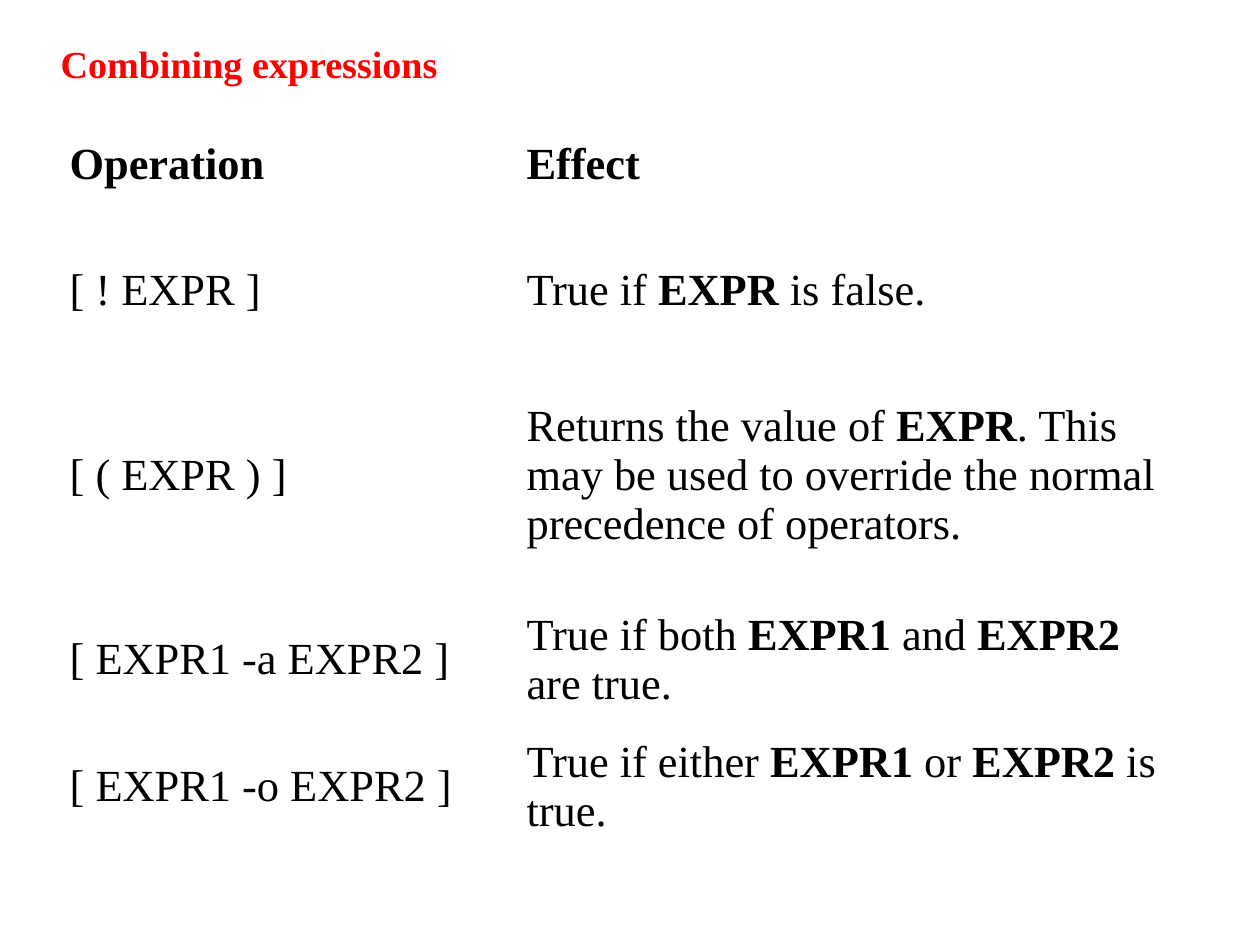
import pptx
import pptx.dml.color
import pptx.enum.text
import pptx.util
from dataclasses import dataclass

PX = 9144  # EMU per px, 100 px to the inch


@dataclass(frozen=True)
class Theme:
    font: str = "Times New Roman"
    title_color: str = "FF0000"
    text_color: str = "000000"
    title_size: int = 24
    text_size: int = 28


THEME = Theme()

# Asterisks enclose bold words
OPERATIONS = [
    ("*Operation*", "*Effect*"),
    ("[ ! EXPR ]", "True if *EXPR* is false."),
    ("[ ( EXPR ) ]", "Returns the value of *EXPR*. This may be used to override "
                     "the normal precedence of operators."),
    ("[ EXPR1 -a EXPR2 ]", "True if both *EXPR1* and *EXPR2* are true."),
    ("[ EXPR1 -o EXPR2 ]", "True if either *EXPR1* or *EXPR2* is true."),
]
COLUMN_WIDTHS = (400, 567)
ROW_HEIGHTS = (111, 111, 212, 111, 111)


def px(length):
    return pptx.util.Emu(length * PX)


def write_text(para, text, *, size, color):
    """Fill a paragraph, with the parts between asterisks in bold."""
    para.alignment = pptx.enum.text.PP_ALIGN.LEFT
    for index, part in enumerate(text.split("*")):
        if part:
            span = para.add_run()
            span.text = part
            span.font.name = THEME.font
            span.font.size = pptx.util.Pt(size)
            span.font.bold = index % 2 == 1
            span.font.color.rgb = pptx.dml.color.RGBColor.from_string(color)


def place_title(page, text, left, top, width, height):
    title = page.shapes.title
    title.left, title.top, title.width, title.height = map(px, (left, top, width, height))
    frame = title.text_frame
    frame.word_wrap = True
    frame.auto_size = pptx.enum.text.MSO_AUTO_SIZE.NONE
    frame.vertical_anchor = pptx.enum.text.MSO_ANCHOR.TOP
    write_text(frame.paragraphs[0], f"*{text}*",
               size=THEME.title_size, color=THEME.title_color)


def place_operations(page, left, top):
    box = page.shapes.add_table(
        len(OPERATIONS), len(COLUMN_WIDTHS), px(left), px(top),
        px(sum(COLUMN_WIDTHS)), px(sum(ROW_HEIGHTS)))
    table = box.table
    table.first_row = table.horz_banding = False
    for column, width in zip(table.columns, COLUMN_WIDTHS):
        column.width = px(width)
    for row, height, texts in zip(table.rows, ROW_HEIGHTS, OPERATIONS):
        row.height = px(height)
        for cell, text in zip(row.cells, texts):
            cell.fill.background()
            cell.vertical_anchor = pptx.enum.text.MSO_ANCHOR.MIDDLE
            cell.margin_left = cell.margin_right = px(1)
            cell.margin_top = cell.margin_bottom = px(1)
            write_text(cell.text_frame.paragraphs[0], text,
                       size=THEME.text_size, color=THEME.text_color)


def main():
    deck = pptx.Presentation()
    deck.slide_width, deck.slide_height = px(1103), px(826)
    page = deck.slides.add_slide(deck.slide_layouts.get_by_name("Title Only"))

    # Heading
    place_title(page, "Combining expressions", 43, 30, 638, 51)

    # Table of operations
    place_operations(page, 60, 88)

    deck.save("out.pptx")


if __name__ == "__main__":
    main()
